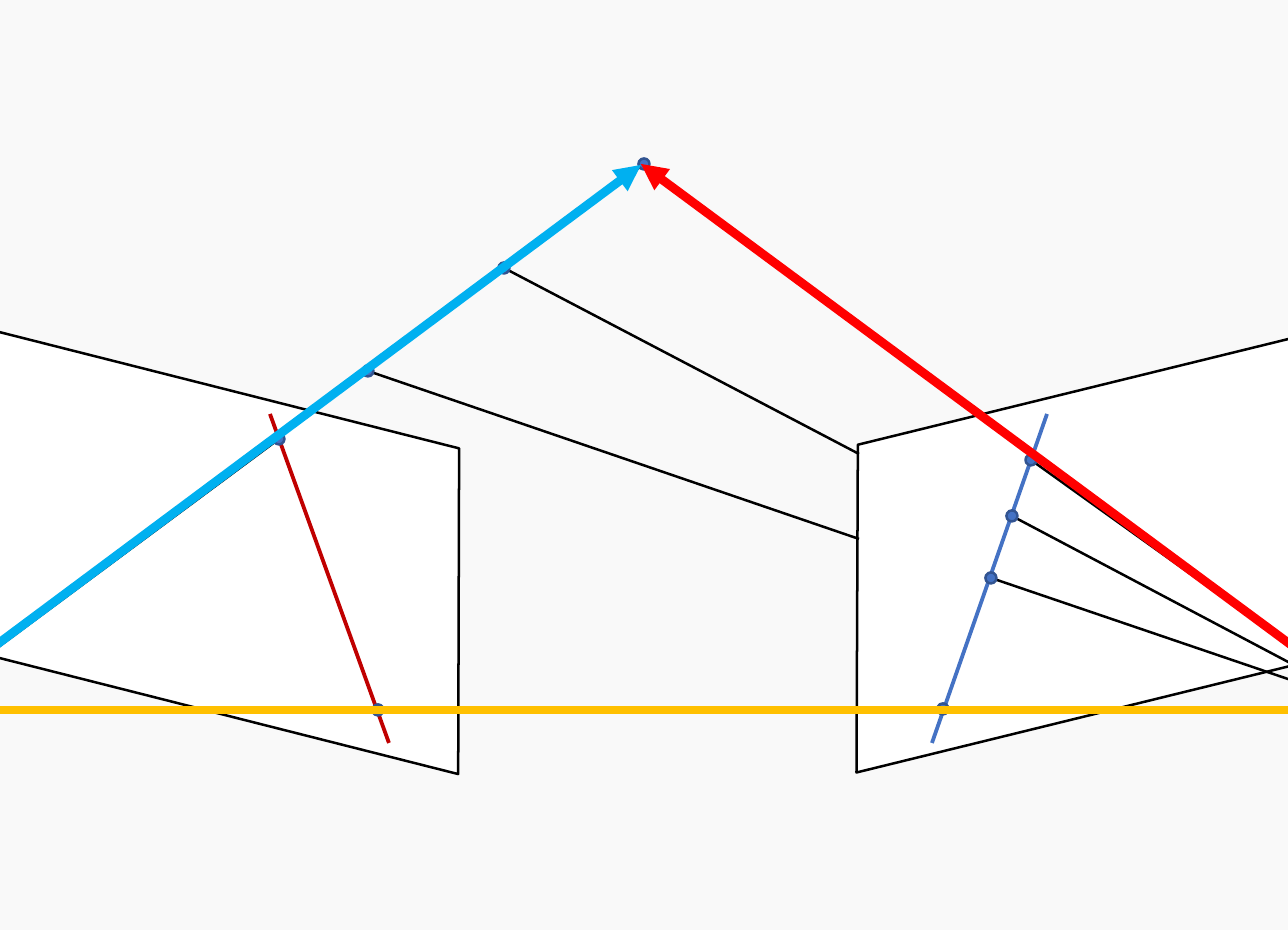
from dataclasses import dataclass

from lxml.etree import SubElement
from pptx import Presentation
from pptx.dml.color import RGBColor
from pptx.enum.shapes import MSO_CONNECTOR as Connector, MSO_SHAPE as Shape
from pptx.oxml.ns import qn
from pptx.util import Pt

EMU_PER_PX = 914400 / 181.7


def px(length):
    return round(length * EMU_PER_PX)


@dataclass(frozen=True)
class Theme:
    background: str = "F9F9F9"
    plane: str = "FFFFFF"
    ink: str = "000000"
    dot: str = "4472C4"
    dot_edge: str = "325491"
    left_epipolar: str = "C00000"
    right_epipolar: str = "4472C4"
    left_ray: str = "00B0F0"
    right_ray: str = "FF0000"
    baseline: str = "FFC000"
    thin: float = 1
    medium: float = 1.5
    thick: float = 3.5
    dot_size: int = 11


class Diagram:
    """Draws the elements of the stereo geometry on one slide."""

    def __init__(self, slide, theme):
        self.slide = slide
        self.theme = theme
        background = slide.background.fill
        background.solid()
        background.fore_color.rgb = RGBColor.from_string(theme.background)

    def stroke(self, line, color, width):
        line.color.rgb = RGBColor.from_string(color)
        line.width = Pt(width)

    def shape(self, kind, box, fill=None, edge=None):
        shape = self.slide.shapes.add_shape(kind, *map(px, box))
        shape.shadow.inherit = False
        if fill:
            shape.fill.solid()
            shape.fill.fore_color.rgb = RGBColor.from_string(fill)
        else:
            shape.fill.background()
        self.stroke(shape.line, edge or self.theme.ink, self.theme.thin)
        return shape

    def plane(self, box, rotation, flipped=False):
        plane = self.shape(Shape.PARALLELOGRAM, box, self.theme.plane)
        plane.rotation = rotation
        if flipped:
            plane.element.spPr.get_or_add_xfrm().set("flipH", "1")

    def dot(self, center):
        size = self.theme.dot_size
        left, top = (value - size / 2 for value in center)
        self.shape(Shape.OVAL, (left, top, size, size), self.theme.dot, self.theme.dot_edge)

    def line(self, start, end, color=None, width=None):
        connector = self.slide.shapes.add_connector(
            Connector.STRAIGHT, *map(px, (*start, *end)))
        self.stroke(connector.line, color or self.theme.ink, width or self.theme.thin)
        SubElement(connector.element.spPr, qn("a:effectLst"))
        return connector

    def arrow(self, start, end, color):
        connector = self.line(start, end, color, self.theme.thick)
        tail = SubElement(connector.line._get_or_add_ln(), qn("a:tailEnd"))
        tail.set("type", "triangle")


def main():
    theme = Theme()
    presentation = Presentation()
    presentation.slide_width = px(1288)
    presentation.slide_height = px(930)
    slide = presentation.slides.add_slide(presentation.slide_layouts[6])
    diagram = Diagram(slide, theme)

    left_camera, right_camera = (-91, 710), (1379, 710)
    scene_point, far_point, near_point = (644, 164), (504, 268), (368, 371)
    left_image, left_epipole = (279, 439), (378, 710)
    right_image, far_image, near_image = (1031, 460), (1012, 516), (991, 578)
    right_epipole = (943, 709)

    diagram.shape(Shape.ISOSCELES_TRIANGLE, (-91, 164, 1470, 547))
    diagram.plane((809, 380, 663, 318), 346.2)
    diagram.plane((-153, 382, 660, 316), 194.2, flipped=True)

    for start, end in [
        ((-11, 654), left_image),
        ((214, 710), left_epipole),
        ((1308, 658), right_image),
        ((1110, 710), right_epipole),
        ((859, 539), near_point),
        (right_camera, near_image),
        ((859, 454), far_point),
        (right_camera, far_image),
    ]:
        diagram.line(start, end)
    diagram.line((270, 414), (389, 743), theme.left_epipolar, theme.medium)
    diagram.line((1047, 414), (932, 743), theme.right_epipolar, theme.medium)

    for center in [near_point, left_image, far_point, scene_point, left_epipole,
                   right_epipole, near_image, far_image, right_image]:
        diagram.dot(center)

    diagram.arrow(left_camera, (641, 165), theme.left_ray)
    diagram.arrow(right_camera, (641, 164), theme.right_ray)
    diagram.arrow(right_camera, left_camera, theme.baseline)

    presentation.save("out.pptx")


if __name__ == "__main__":
    main()
